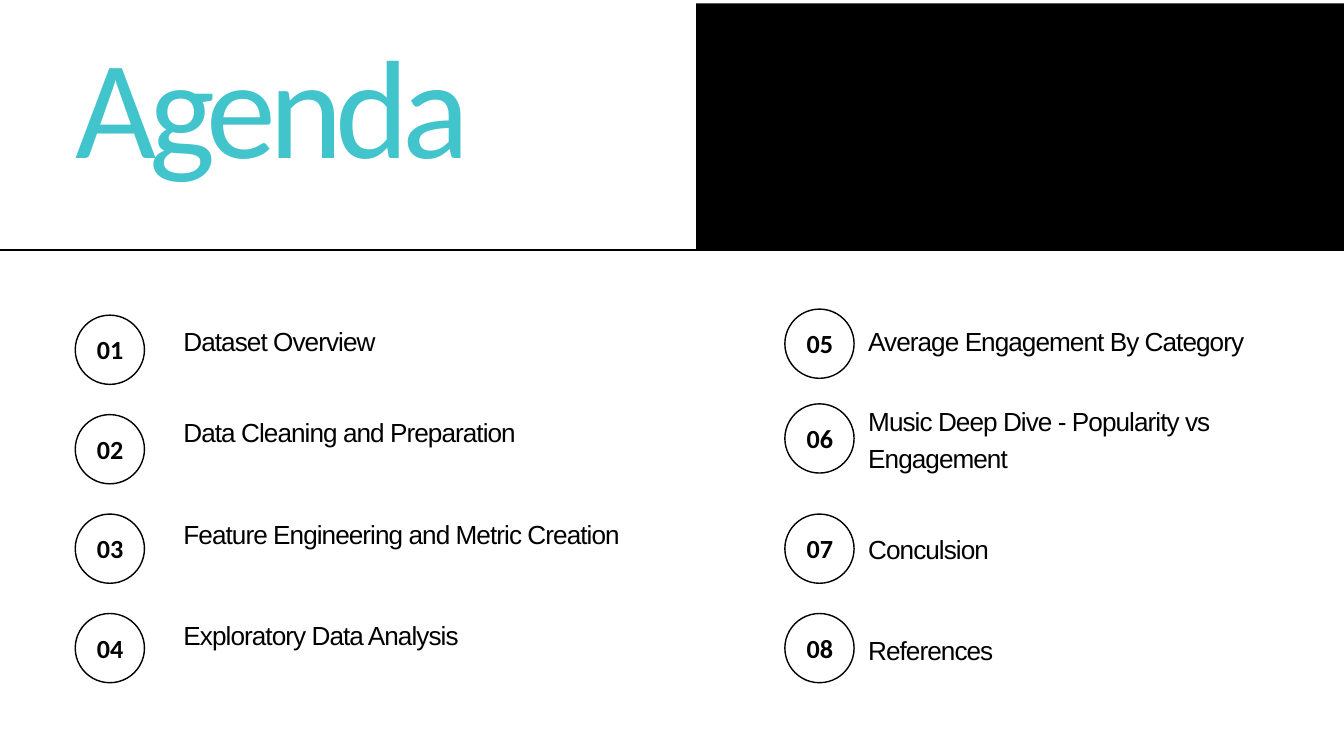
from dataclasses import dataclass

from pptx import Presentation
from pptx.dml.color import RGBColor
from pptx.enum.shapes import MSO_CONNECTOR, MSO_SHAPE
from pptx.enum.text import MSO_ANCHOR, PP_ALIGN
from pptx.oxml.ns import qn
from pptx.slide import Slide
from pptx.text.text import TextFrame
from pptx.util import Inches, Pt

RECTANGLE, OVAL = MSO_SHAPE.RECTANGLE, MSO_SHAPE.OVAL
STRAIGHT = MSO_CONNECTOR.STRAIGHT
TOP, MIDDLE = MSO_ANCHOR.TOP, MSO_ANCHOR.MIDDLE
LEFT, CENTER = PP_ALIGN.LEFT, PP_ALIGN.CENTER

COLORS = {"ink": "000000", "title": "41C4CB"}
PLAIN_TABLE_STYLE = "{2D5ABB26-0587-4C30-8999-92F81FD0307C}"

SLIDE_WIDTH, SLIDE_HEIGHT = 20, 11.25
HEADER_BOTTOM = 3.72
TOPICS_TOP, TOPICS_WIDTH = 4.44, 6.99
BADGE_SIZE = 1.03
CELL_MARGIN = 0.21


@dataclass
class Topic:
    title: str
    row_height: float
    badge_top: float


@dataclass
class AgendaColumn:
    first_number: int
    badge_left: float
    topics_left: float
    topics: list[Topic]


AGENDA = [
    AgendaColumn(1, 1.12, 2.52, [
        Topic("Dataset Overview", 1.2, 4.69),
        Topic("Data Cleaning and Preparation", 1.51, 6.17),
        Topic("Feature Engineering and Metric Creation", 1.51, 7.65),
        Topic("Exploratory Data Analysis", 1.51, 9.13),
    ]),
    AgendaColumn(5, 11.68, 12.71, [
        Topic("Average Engagement By Category", 1.2, 4.6),
        Topic("Music Deep Dive - Popularity vs Engagement", 1.74, 6.01),
        Topic("Conculsion", 1.51, 7.65),
        Topic("References", 1.51, 9.13),
    ]),
]


def color(name: str) -> RGBColor:
    return RGBColor.from_string(COLORS[name])


def write_text(frame: TextFrame, text: str, *, font: str = "Arial", size: float = 28,
               ink: str = "ink", bold: bool = False, align: PP_ALIGN = LEFT,
               line_spacing: float = 39.2, tracking: float = 0) -> None:
    paragraph = frame.paragraphs[0]
    paragraph.alignment = align
    paragraph.line_spacing = Pt(line_spacing)
    run = paragraph.add_run()
    run.text = text
    run.font.name = font
    run.font.size = Pt(size)
    run.font.bold = bold
    run.font.color.rgb = color(ink)
    if tracking:
        run._r.get_or_add_rPr().set("spc", str(round(tracking * 100)))


def add_text_frame(slide: Slide, left: float, top: float, width: float, height: float,
                   margin: float, anchor: MSO_ANCHOR) -> TextFrame:
    frame = slide.shapes.add_textbox(
        Inches(left), Inches(top), Inches(width), Inches(height)).text_frame
    frame.word_wrap = True
    frame.vertical_anchor = anchor
    frame.margin_left = frame.margin_right = Inches(margin)
    frame.margin_top = frame.margin_bottom = Inches(margin)
    return frame


def draw_header(slide: Slide) -> None:
    # Black panel at the right
    panel = slide.shapes.add_shape(
        RECTANGLE, Inches(10.36), Inches(0.05), Inches(9.64), Inches(3.67))
    panel.shadow.inherit = False
    panel.fill.solid()
    panel.fill.fore_color.rgb = color("ink")
    panel.line.fill.background()

    # Title
    title = add_text_frame(slide, 1.12, 1, 7.96, 2, 0, TOP)
    write_text(title, "Agenda", font="Calibri", size=150, ink="title",
               line_spacing=127.5, tracking=-7.5)

    # Rule below the header
    rule = slide.shapes.add_connector(
        STRAIGHT, 0, Inches(HEADER_BOTTOM), Inches(SLIDE_WIDTH), Inches(HEADER_BOTTOM))
    rule.line.color.rgb = color("ink")
    rule.line.width = Pt(1.5)
    properties = rule._element.spPr
    properties.append(properties.makeelement(qn("a:effectLst"), {}))


def draw_badge(slide: Slide, number: int, left: float, top: float) -> None:
    circle = slide.shapes.add_shape(
        OVAL, Inches(left), Inches(top), Inches(BADGE_SIZE), Inches(BADGE_SIZE))
    circle.shadow.inherit = False
    circle.fill.background()
    circle.line.color.rgb = color("ink")
    circle.line.width = Pt(1.5)
    label = add_text_frame(slide, left + 0.1, top + 0.01, 0.84, 0.92, 0.06, MIDDLE)
    write_text(label, f"{number:02d}", font="Calibri", bold=True, align=CENTER)


def draw_topics(slide: Slide, column: AgendaColumn) -> None:
    total_height = sum(topic.row_height for topic in column.topics)
    table = slide.shapes.add_table(
        len(column.topics), 1, Inches(column.topics_left), Inches(TOPICS_TOP),
        Inches(TOPICS_WIDTH), Inches(total_height)).table
    table.first_row = table.horz_banding = False
    table._tbl.tblPr.find(qn("a:tableStyleId")).text = PLAIN_TABLE_STYLE
    for row, topic in zip(table.rows, column.topics):
        row.height = Inches(topic.row_height)
        cell = row.cells[0]
        cell.fill.background()
        cell.vertical_anchor = MIDDLE
        cell.margin_left = cell.margin_right = Inches(CELL_MARGIN)
        cell.margin_top = cell.margin_bottom = Inches(CELL_MARGIN)
        write_text(cell.text_frame, topic.title, tracking=-1)


def main() -> None:
    presentation = Presentation()
    presentation.slide_width = Inches(SLIDE_WIDTH)
    presentation.slide_height = Inches(SLIDE_HEIGHT)
    slide = presentation.slides.add_slide(presentation.slide_layouts[6])

    draw_header(slide)
    # Two columns of numbered topics
    for column in AGENDA:
        draw_topics(slide, column)
        for number, topic in enumerate(column.topics, column.first_number):
            draw_badge(slide, number, column.badge_left, topic.badge_top)

    presentation.save("out.pptx")


if __name__ == "__main__":
    main()
